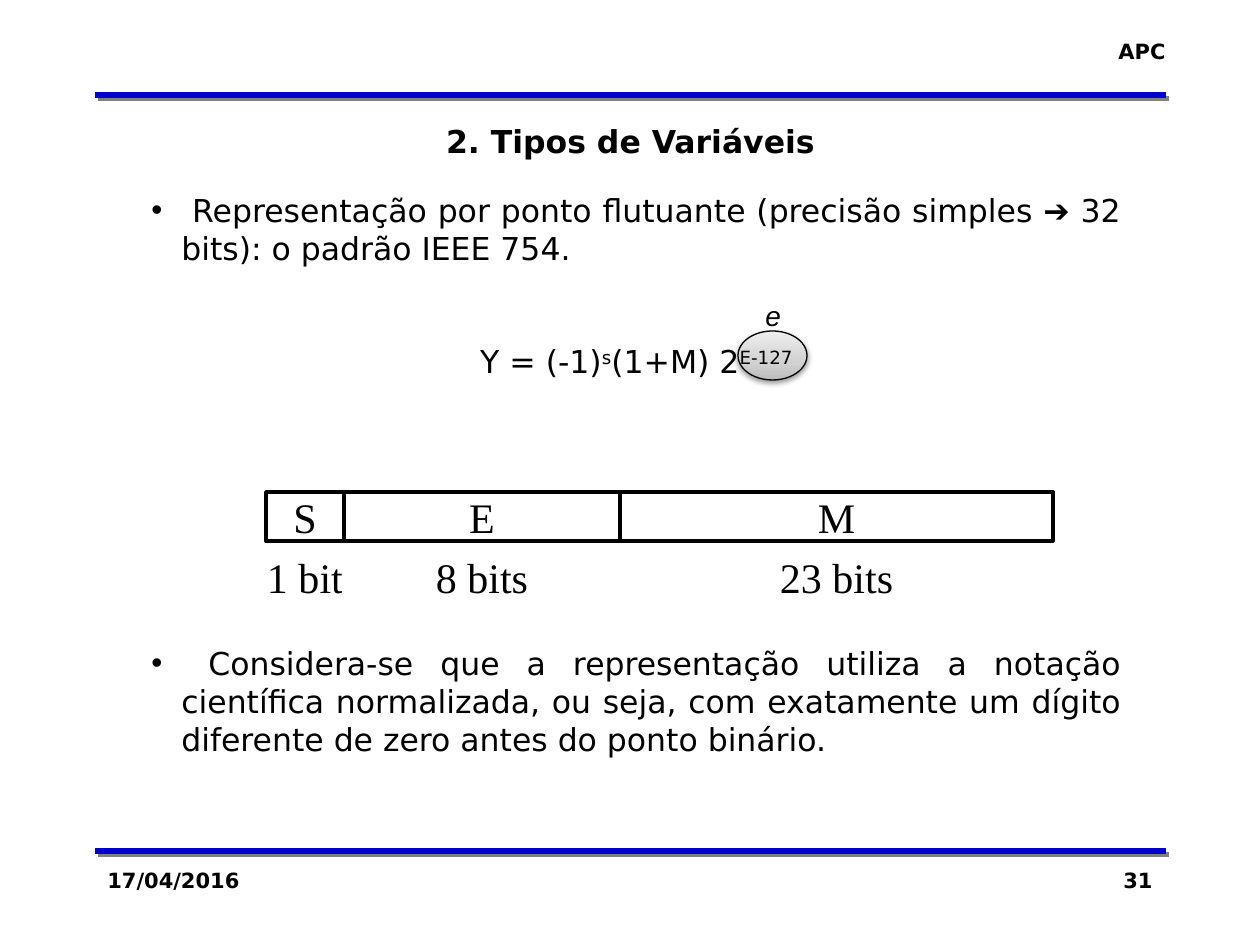
from dataclasses import dataclass
from lxml import etree
from pptx import Presentation, util as u
from pptx.dml.color import RGBColor
from pptx.enum import shapes, text
from pptx.oxml.ns import qn

ALIGN = text.PP_ALIGN
ANCHOR = text.MSO_ANCHOR


@dataclass(frozen=True)
class Theme:
    ink: str = "000000"
    paper: str = "FFFFFF"
    rule: str = "0000CC"
    rule_shadow: str = "808080"
    oval_stops: tuple = ((0, "BDBDBD"), (35, "D1D1D1"), (100, "EEEEEE"))
    sans: str = "DejaVu Sans"
    serif: str = "Times New Roman"
    symbol: str = "Arial"
    small: int = 12
    exponent: int = 16
    body: int = 18
    field: int = 24


class SlideBuilder:
    """Draws styled elements, measured in px, on the current slide."""

    def __init__(self, deck, theme):
        self.theme = theme
        self.page = deck.slides.add_slide(deck.slide_layouts[6])

    @staticmethod
    def px(*lengths):
        return [u.Emu(round(length * 914400 / 126)) for length in lengths]

    @staticmethod
    def add_node(parent, tag, **attributes):
        values = {name: str(value) for name, value in attributes.items()}
        return etree.SubElement(parent, qn(f"a:{tag}"), values)

    def add_color(self, parent, color, alpha=100):
        node = self.add_node(parent, "srgbClr", val=color)
        if alpha < 100:
            self.add_node(node, "alpha", val=alpha * 1000)

    def shadow(self, shape, color, alpha, blur, distance, angle):
        effects = self.add_node(shape._element.spPr, "effectLst")
        outer = self.add_node(effects, "outerShdw", blurRad=u.Pt(blur), dist=u.Pt(distance),
                              dir=angle * 60000, algn="ctr", rotWithShape=0)
        self.add_color(outer, color, alpha)

    def outline(self, shape, color, width):
        shape.line.color.rgb = RGBColor.from_string(color)
        shape.line.width = u.Pt(width)

    def rule(self, left, right, top):
        line = self.page.shapes.add_connector(
            shapes.MSO_CONNECTOR.STRAIGHT, *self.px(left, top, right, top))
        self.outline(line, self.theme.rule, 3)
        self.shadow(line, self.theme.rule_shadow, 100, 0, 2.8, 45)

    def oval(self, *place):
        oval = self.page.shapes.add_shape(shapes.MSO_SHAPE.OVAL, *self.px(*place))
        oval.fill.gradient()
        gradient = oval._element.spPr.find(qn("a:gradFill"))
        stops = gradient.find(qn("a:gsLst"))
        for stop in list(stops):
            stops.remove(stop)
        for position, color in self.theme.oval_stops:
            self.add_color(self.add_node(stops, "gs", pos=position * 1000), color)
        gradient.find(qn("a:lin")).set("ang", str(270 * 60000))
        self.outline(oval, self.theme.ink, 0.75)
        self.shadow(oval, self.theme.ink, 38, 3.1, 1.6, 90)

    def span(self, para, words, raised=False, **formats):
        span = para.add_run()
        span.text = words
        for name, value in {"name": self.theme.sans, **formats}.items():
            setattr(span.font, name, value)
        span.font.color.rgb = RGBColor.from_string(self.theme.ink)
        if raised:
            span._r.get_or_add_rPr().set("baseline", "30000")

    def bullet(self, para, indent):
        properties = para._p.get_or_add_pPr()
        width = self.px(indent)[0]
        properties.set("marL", str(width))
        properties.set("indent", str(-width))
        self.add_node(properties, "buFont", typeface=self.theme.symbol)
        self.add_node(properties, "buChar", char="•")

    def label(self, place, words, size, align=ALIGN.LEFT, wrap=True, **formats):
        box = self.page.shapes.add_textbox(*self.px(*place))
        box.text_frame.word_wrap = wrap
        para = box.text_frame.paragraphs[0]
        para.alignment = align
        self.span(para, words, size=u.Pt(size), **formats)

    def body(self, place, paragraphs):
        frame = self.page.shapes.add_textbox(*self.px(*place)).text_frame
        frame.word_wrap = True
        for index, (spans, align, gap) in enumerate(paragraphs):
            para = frame.paragraphs[0] if index == 0 else frame.add_paragraph()
            para.alignment = align
            if gap:
                para.space_before = u.Pt(gap)
            if align == ALIGN.JUSTIFY:
                self.bullet(para, 30)
            for words, raised in spans:
                self.span(para, words, raised, size=u.Pt(self.theme.body))

    def field(self, place, words, line_color):
        cell = self.page.shapes.add_shape(shapes.MSO_SHAPE.RECTANGLE, *self.px(*place))
        cell.shadow.inherit = False
        cell.fill.solid()
        cell.fill.fore_color.rgb = RGBColor.from_string(self.theme.paper)
        self.outline(cell, line_color, 2)
        frame = cell.text_frame
        for name, value in {"word_wrap": False, "vertical_anchor": ANCHOR.MIDDLE}.items():
            setattr(frame, name, value)
        frame.paragraphs[0].alignment = ALIGN.CENTER
        self.span(frame.paragraphs[0], words, name=self.theme.serif, size=u.Pt(self.theme.field))


def main():
    theme = Theme()
    deck = Presentation()
    deck.slide_width, deck.slide_height = SlideBuilder.px(1260, 945)
    slide = SlideBuilder(deck, theme)

    for top in (851, 95):
        slide.rule(95, 1166, top)
    slide.label((1105, 32, 73, 38), "APC", theme.small, ALIGN.RIGHT, wrap=False, bold=True)
    slide.oval(738, 331, 69, 49)

    formula = [("Y = (-1)", False), ("s", True), ("(1+M) 2", False), ("E-127", True)]
    opening = " Representação por ponto flutuante (precisão simples ➔ 32 bits): o padrão IEEE 754."
    closing = (" Considera-se que a representação utiliza a notação científica normalizada, "
               "ou seja, com exatamente um dígito diferente de zero antes do ponto binário.")
    slide.body((139, 185, 995, 585), [
        ([(opening, False)], ALIGN.JUSTIFY, 0),
        (formula, ALIGN.CENTER, 43),
        ([(closing, False)], ALIGN.JUSTIFY, 151),
    ])

    slide.label((95, 861, 262, 63), "17/04/2016", theme.small, bold=True)
    slide.label((903, 861, 262, 63), "31", theme.small, ALIGN.RIGHT, bold=True)
    slide.label((95, 116, 1071, 50), "2. Tipos de Variáveis", theme.body, ALIGN.CENTER, bold=True)

    left = 266
    for name, bits, width in (("S", "1 bit", 78), ("E", "8 bits", 276), ("M", "23 bits", 433)):
        slide.field((left, 492, width, 49), name, theme.ink)
        slide.field((left, 552, width, 49), bits, theme.paper)
        left += width
    slide.label((753, 292, 42, 47), "e", theme.exponent, name=theme.symbol, italic=True)

    deck.save("out.pptx")


if __name__ == "__main__":
    main()
